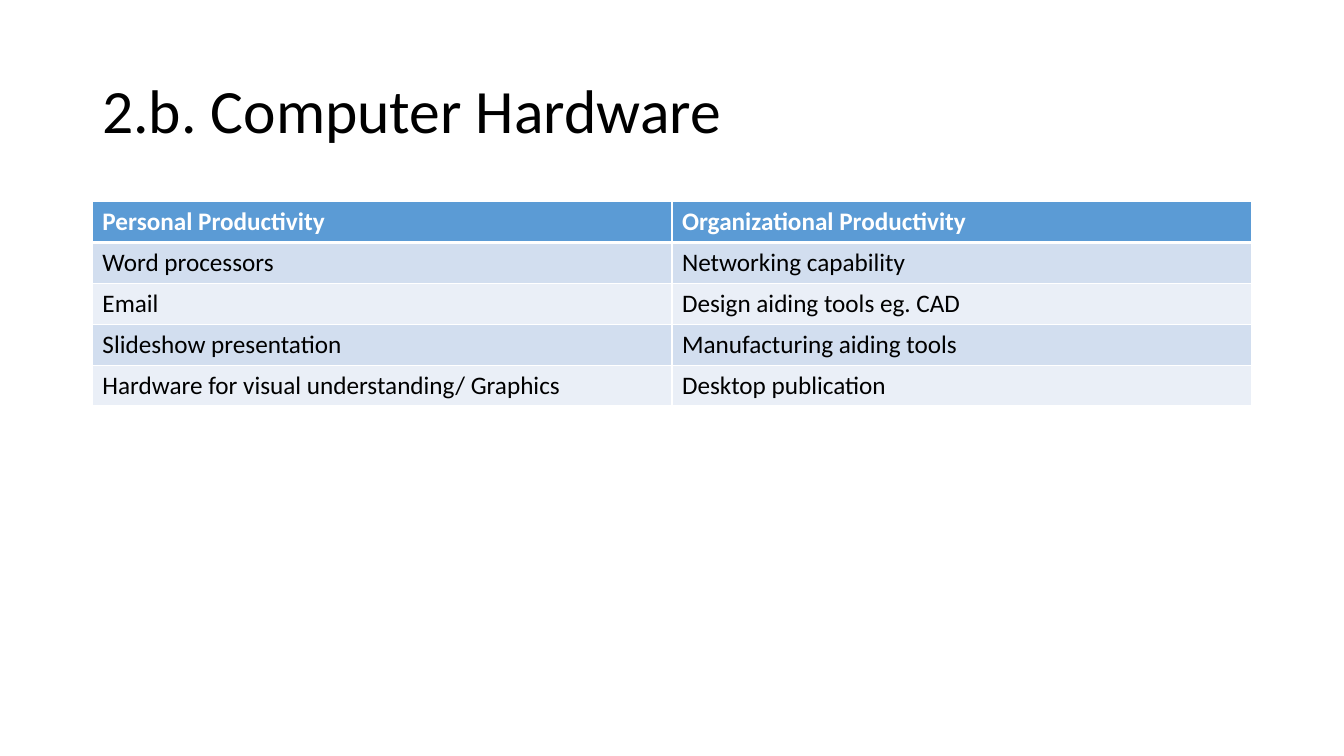
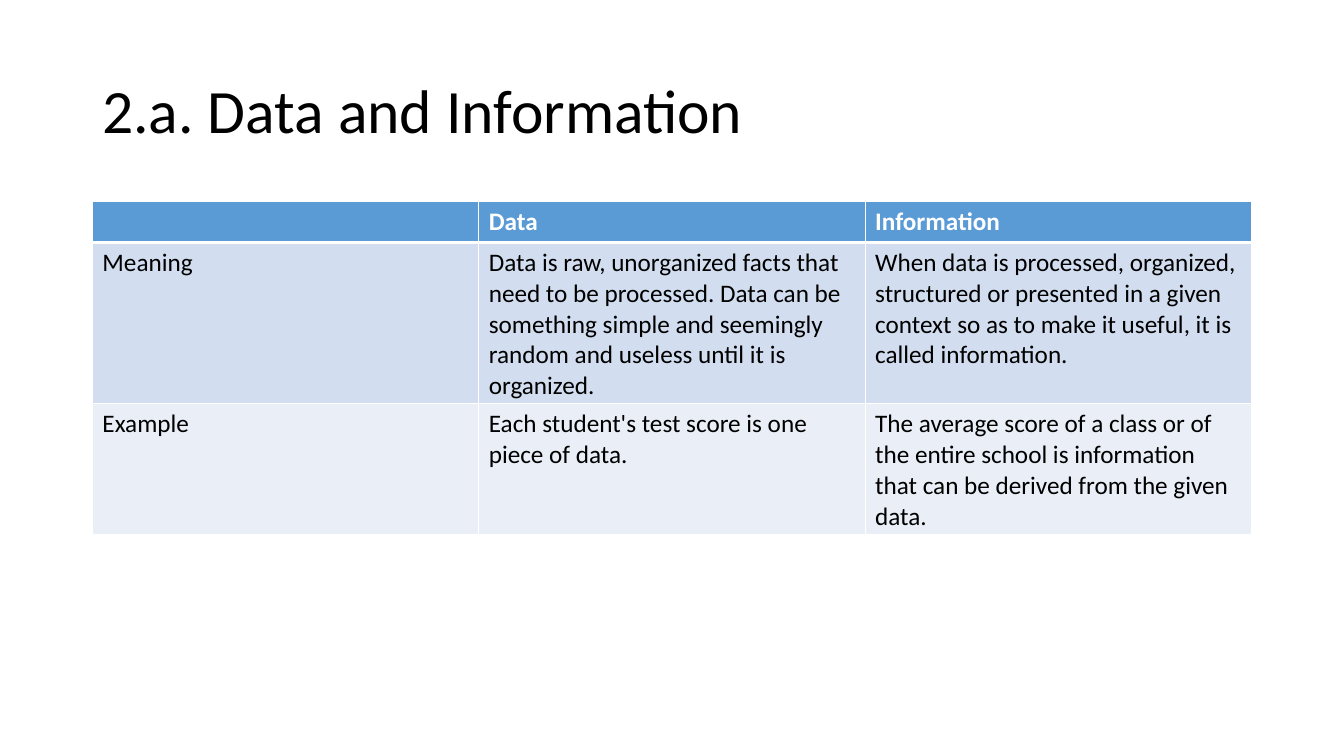
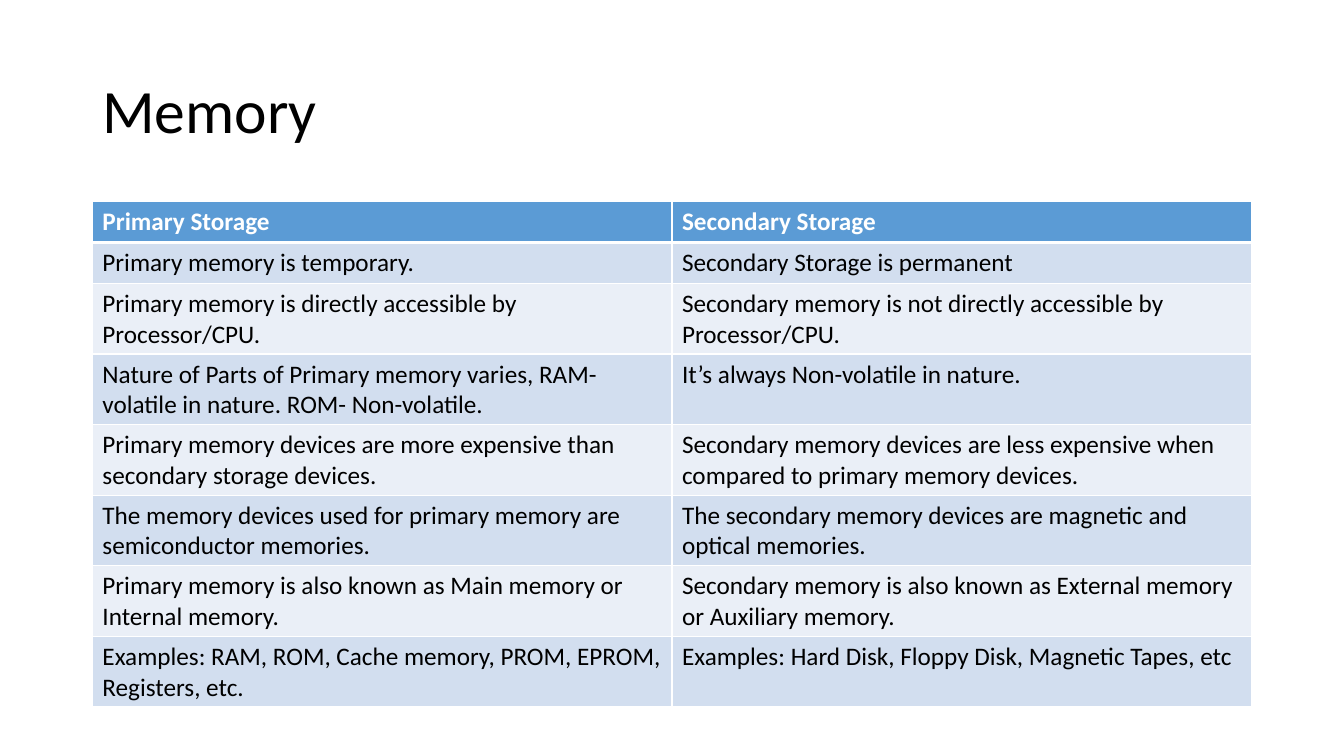
from dataclasses import dataclass

from lxml import etree
from pptx import Presentation
from pptx.dml.color import RGBColor
from pptx.enum.text import MSO_ANCHOR
from pptx.oxml.ns import qn
from pptx.util import Pt

MIDDLE = MSO_ANCHOR.MIDDLE


@dataclass(frozen=True)
class Theme:
    font: str = "Calibri"
    title_size: int = 44
    table_size: int = 18
    text: str = "000000"
    header_text: str = "FFFFFF"
    header_fill: str = "5B9BD5"
    bands: tuple = ("D2DEEF", "EAEFF7")
    border: str = "FFFFFF"
    thin: int = 1
    thick: int = 3


theme = Theme()

# Shared layout, in points
LEFT, WIDTH = 66, 828
TITLE_TOP, TITLE_HEIGHT = 28.75, 104.4
TABLE_TOP, ROW_HEIGHT = 144, 29.2

# Title and table rows of each slide, header row first
PAGES = [
    ("2.b. Computer Hardware", [
        ("Personal Productivity", "Organizational Productivity"),
        ("Word processors", "Networking capability"),
        ("Email", "Design aiding tools eg. CAD"),
        ("Slideshow presentation", "Manufacturing aiding tools"),
        ("Hardware for visual understanding/ Graphics", "Desktop publication"),
    ]),
    ("2.a. Data and Information", [
        ("", "Data", "Information"),
        ("Meaning",
         "Data is raw, unorganized facts that need to be processed. Data can be "
         "something simple and seemingly random and useless until it is organized.",
         "When data is processed, organized, structured or presented in a given "
         "context so as to make it useful, it is called information."),
        ("Example",
         "Each student's test score is one piece of data.",
         "The average score of a class or of the entire school is information "
         "that can be derived from the given data."),
    ]),
    ("Memory", [
        ("Primary Storage", "Secondary Storage"),
        ("Primary memory is temporary.", "Secondary Storage is permanent"),
        ("Primary memory is directly accessible by Processor/CPU.",
         "Secondary memory is not directly accessible by Processor/CPU."),
        ("Nature of Parts of Primary memory varies, RAM- volatile in nature. "
         "ROM- Non-volatile.",
         "It’s always Non-volatile in nature."),
        ("Primary memory devices are more expensive than secondary storage devices.",
         "Secondary memory devices are less expensive when compared to primary "
         "memory devices."),
        ("The memory devices used for primary memory are semiconductor memories.",
         "The secondary memory devices are magnetic and optical memories."),
        ("Primary memory is also known as Main memory or Internal memory.",
         "Secondary memory is also known as External memory or Auxiliary memory."),
        ("Examples: RAM, ROM, Cache memory, PROM, EPROM, Registers, etc.",
         "Examples: Hard Disk, Floppy Disk, Magnetic Tapes, etc"),
    ]),
]


def style_font(font, size, color, bold=False):
    font.name = theme.font
    font.size = Pt(size)
    font.bold = bold
    font.color.rgb = RGBColor.from_string(color)


def add_borders(cell, row_index):
    """Thin borders all round, thick between the header and the body."""
    top = theme.thick if row_index == 1 else theme.thin
    bottom = theme.thick if row_index == 0 else theme.thin
    properties = cell._tc.get_or_add_tcPr()
    for side, width in (("L", theme.thin), ("R", theme.thin), ("T", top), ("B", bottom)):
        line = etree.SubElement(properties, qn(f"a:ln{side}"), w=str(Pt(width)))
        fill = etree.SubElement(line, qn("a:solidFill"))
        etree.SubElement(fill, qn("a:srgbClr"), val=theme.border)


deck = Presentation()
deck.slide_width, deck.slide_height = Pt(960), Pt(540)
blank_layout = deck.slide_layouts[6]

for title, rows in PAGES:
    page = deck.slides.add_slide(blank_layout)

    # Title
    box = page.shapes.add_textbox(Pt(LEFT), Pt(TITLE_TOP), Pt(WIDTH), Pt(TITLE_HEIGHT))
    frame = box.text_frame
    frame.word_wrap = True
    frame.vertical_anchor = MIDDLE
    para = frame.paragraphs[0]
    para.text = title
    para.line_spacing = 0.9
    style_font(para.font, theme.title_size, theme.text)

    # Table
    table = page.shapes.add_table(
        len(rows), len(rows[0]), Pt(LEFT), Pt(TABLE_TOP),
        Pt(WIDTH), Pt(ROW_HEIGHT * len(rows))).table
    table.first_row = table.horz_banding = False
    for row_index, row in enumerate(rows):
        is_header = row_index == 0
        fill_color = theme.header_fill if is_header else theme.bands[(row_index - 1) % 2]
        text_color = theme.header_text if is_header else theme.text
        for column_index, text in enumerate(row):
            cell = table.cell(row_index, column_index)
            add_borders(cell, row_index)
            cell.fill.solid()
            cell.fill.fore_color.rgb = RGBColor.from_string(fill_color)
            para = cell.text_frame.paragraphs[0]
            para.text = text
            style_font(para.font, theme.table_size, text_color, is_header)

deck.save("out.pptx")
